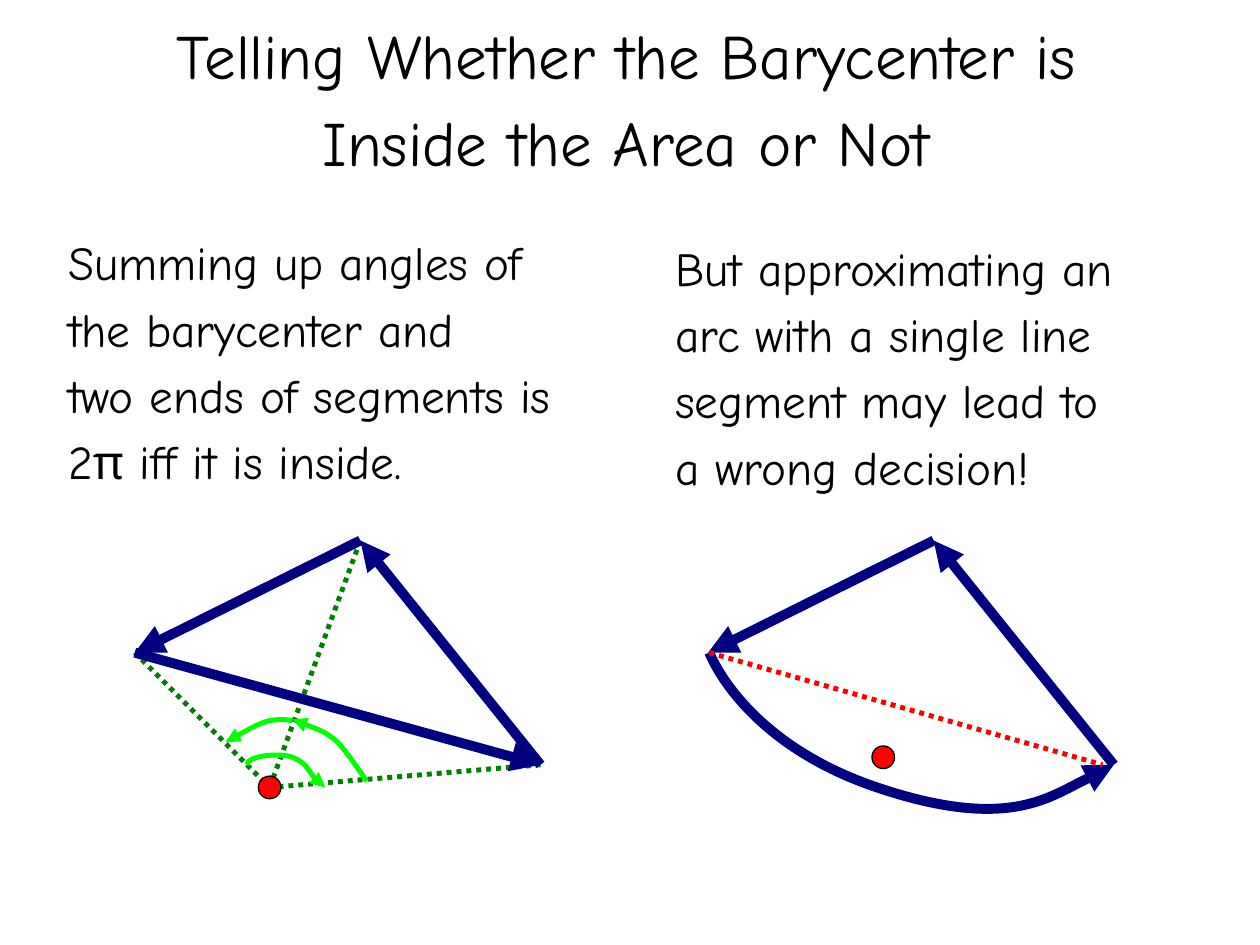
import pptx
import pptx.util
import pptx.dml.color
import pptx.enum.dml
import pptx.enum.shapes
import pptx.enum.text
import pptx.oxml.ns
import pptx.oxml.xmlchemy
from pptx.util import Inches

COLORS = {"text": "000000", "edge": "000080", "ray": "008000",
          "angle": "00FF00", "alert": "FF0000"}
FONT = "Comic Neue"
THICK, THIN = 5.67, 2.83


def write_text(shape, text, size=27, spacing=1.17, align=None, anchor="TOP",
               hanging=0.0, margin=None):
    frame = shape.text_frame
    frame.word_wrap = True
    frame.auto_size = pptx.enum.text.MSO_AUTO_SIZE.NONE
    frame.vertical_anchor = pptx.enum.text.MSO_ANCHOR[anchor]
    if margin is not None:
        frame.margin_left = frame.margin_right = Inches(margin)
        frame.margin_top = frame.margin_bottom = Inches(margin)
    frame.text = text
    for para in frame.paragraphs:
        para.line_spacing = spacing
        if align:
            para.alignment = pptx.enum.text.PP_ALIGN[align]
        if hanging:
            properties = para._p.get_or_add_pPr()
            properties.set("marL", str(Inches(hanging)))
            properties.set("indent", str(-Inches(hanging)))
        for span in para.runs:
            span.font.name = FONT
            span.font.size = pptx.util.Pt(size)
            span.font.color.rgb = pptx.dml.color.RGBColor.from_string(COLORS["text"])


def draw_stroke(points, color, width, arrow=False, dotted=False):
    """Two points give a straight line; 1 + 3n points give n Bezier pieces."""
    new_element = pptx.oxml.xmlchemy.OxmlElement
    ends = [(Inches(x), Inches(y)) for x, y in points]
    if len(ends) == 2:
        stroke = page.shapes.add_connector(
            pptx.enum.shapes.MSO_CONNECTOR.STRAIGHT, *ends[0], *ends[1])
        stroke._element.spPr.append(new_element("a:effectLst"))
    else:
        builder = page.shapes.build_freeform(*ends[0], scale=1.0)
        builder.add_line_segments(ends[1:], close=False)
        stroke = builder.convert_to_shape()
        stroke.shadow.inherit = False
        stroke.fill.background()
        # Merge each three straight steps into one cubic curve
        steps = stroke._element.findall(".//" + pptx.oxml.ns.qn("a:lnTo"))
        for first in range(0, len(steps), 3):
            curve = new_element("a:cubicBezTo")
            steps[first].addprevious(curve)
            for step in steps[first:first + 3]:
                curve.append(step[0])
                step.getparent().remove(step)
    stroke.line.color.rgb = pptx.dml.color.RGBColor.from_string(COLORS[color])
    stroke.line.width = pptx.util.Pt(width)
    if dotted:
        stroke.line.dash_style = pptx.enum.dml.MSO_LINE.ROUND_DOT
    if arrow:
        head = new_element("a:tailEnd")
        head.set("type", "triangle")
        stroke.line._get_or_add_ln().append(head)


deck = pptx.Presentation()
deck.slide_width, deck.slide_height = Inches(10), Inches(7.5)
page = deck.slides.add_slide(deck.slide_layouts[5])

# Title
title = page.shapes.title
title.left, title.top = Inches(0.48), Inches(0.03)
title.width, title.height = Inches(8.98), Inches(1.41)
write_text(title, "Telling Whether the Barycenter is\vInside the Area or Not",
           size=36, spacing=1.14, align="CENTER", anchor="MIDDLE")

# Dotted rays from the triangle's corners to the outside barycenter
left, top, right = (1.07, 5.18), (2.86, 4.29), (4.29, 6.07)
outside, inside = (2.14, 6.25), (7.01, 6.01)
for corner in (right, top, left):
    draw_stroke([corner, outside], "ray", THIN, dotted=True)

# Barycenters
for x, y in (outside, inside):
    dot = page.shapes.add_shape(
        pptx.enum.shapes.MSO_SHAPE.OVAL, Inches(x - 0.09), Inches(y - 0.09),
        Inches(0.18), Inches(0.18))
    dot.shadow.inherit = False
    dot.fill.solid()
    dot.fill.fore_color.rgb = pptx.dml.color.RGBColor.from_string(COLORS["alert"])
    dot.line.color.rgb = pptx.dml.color.RGBColor.from_string(COLORS["text"])
    dot.line.width = pptx.util.Pt(0.75)

# Two directed edges of each area, the right one shifted
shift = 4.55
for offset in (0, shift):
    corners = [(x + offset, y) for x, y in (right, top, left)]
    for start, end in zip(corners, corners[1:]):
        draw_stroke([start, end], "edge", THICK, arrow=True)

# Third edge: a segment on the left, an arc on the right
draw_stroke([left, right], "edge", THICK, arrow=True)
draw_stroke([(5.63, 5.18), (5.63, 5.18), (5.89, 5.89), (6.96, 6.25),
             (8.03, 6.61), (8.84, 6.07), (8.84, 6.07)], "edge", THICK, arrow=True)

# Explanations
for place, anchor, text in (
    ((0.54, 1.74, 4.29, 2.18), "MIDDLE",
     "Summing up angles of\nthe barycenter and\n"
     "two ends of segments is\n2π iff it is inside."),
    ((5.36, 1.82, 4.11, 2.1), "TOP",
     "But approximating an\narc with a single line\n"
     "segment may lead to\na wrong decision!"),
):
    box = page.shapes.add_textbox(*[Inches(length) for length in place])
    write_text(box, text, anchor=anchor, hanging=0.21, margin=0)

# Angle arrows around the outside barycenter
for angle in (
    [(2.91, 6.2), (2.91, 6.2), (2.77, 5.99), (2.68, 5.89),
     (2.58, 5.8), (2.32, 5.71), (2.32, 5.71)],
    [(2.32, 5.72), (2.32, 5.72), (2.24, 5.7), (2.14, 5.72),
     (2.05, 5.74), (1.79, 5.89), (1.79, 5.89)],
    [(1.96, 6.07), (1.96, 6), (2.21, 5.97), (2.32, 6.01),
     (2.43, 6.05), (2.52, 6.24), (2.58, 6.25)],
):
    draw_stroke(angle, "angle", THIN, arrow=True)

# Single-segment approximation of the arc
draw_stroke([(5.63, 5.18), (8.75, 6.07)], "alert", THIN, dotted=True)

deck.save("out.pptx")
